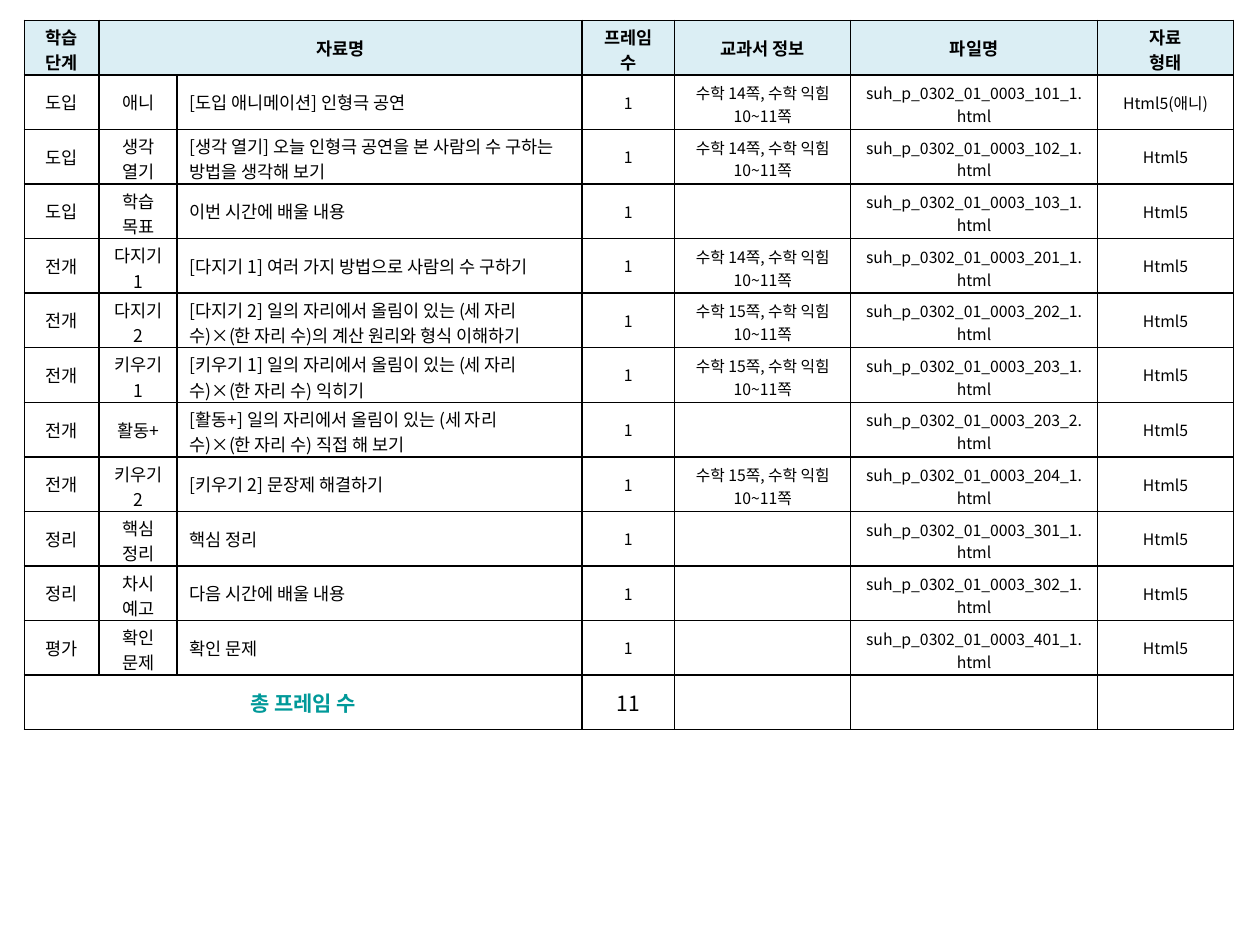
from dataclasses import dataclass

from lxml.etree import SubElement
from pptx import Presentation
from pptx.dml.color import RGBColor
from pptx.enum.text import MSO_ANCHOR, PP_ALIGN
from pptx.oxml.ns import qn
from pptx.util import Cm, Pt


@dataclass(frozen=True)
class Theme:
    font: str = "Noto Sans CJK KR"
    ink: str = "000000"
    accent: str = "009999"
    header_fill: str = "DBEEF4"
    white: str = "FFFFFF"
    text_size: float = 10
    detail_size: float = 9
    total_size: float = 12
    border: float = 1


THEME = Theme()

# Column widths and the common row height, in centimetres
COLUMN_WIDTHS = [1.51, 1.57, 8.16, 1.87, 3.55, 4.97, 2.75]
ROW_HEIGHT = 1.1
TITLE_COLUMN, FRAME_COLUMN = 2, 3
TITLE_RIGHT_INSET = 0.4
# Letters that fit on one line of each column
LINE_LENGTHS = [3, 3, 32, 4, 10, 20, 10]

HEADERS = ["학습 단계", "자료명", "", "프레임 수", "교과서 정보", "파일명", "자료\n형태"]

# Stage, part, title, textbook page, file number
LESSONS = [
    ("도입", "애니", "[도입 애니메이션] 인형극 공연", 14, "101_1"),
    ("도입", "생각 열기", "[생각 열기] 오늘 인형극 공연을 본 사람의 수 구하는 방법을 생각해 보기", 14, "102_1"),
    ("도입", "학습 목표", "이번 시간에 배울 내용", None, "103_1"),
    ("전개", "다지기 1", "[다지기 1] 여러 가지 방법으로 사람의 수 구하기", 14, "201_1"),
    ("전개", "다지기 2",
     "[다지기 2] 일의 자리에서 올림이 있는 (세 자리 수)×(한 자리 수)의 계산 원리와 형식 이해하기", 15, "202_1"),
    ("전개", "키우기1", "[키우기 1] 일의 자리에서 올림이 있는 (세 자리 수)×(한 자리 수) 익히기", 15, "203_1"),
    ("전개", "활동+", "[활동+] 일의 자리에서 올림이 있는 (세 자리 수)×(한 자리 수) 직접 해 보기", None, "203_2"),
    ("전개", "키우기2", "[키우기 2] 문장제 해결하기", 15, "204_1"),
    ("정리", "핵심 정리", "핵심 정리", None, "301_1"),
    ("정리", "차시 예고", "다음 시간에 배울 내용", None, "302_1"),
    ("평가", "확인 문제", "확인 문제", None, "401_1"),
]


def lesson_cells(stage, part, title, textbook_page, file_number):
    textbook = f"수학 {textbook_page}쪽, 수학 익힘 10~11쪽" if textbook_page else ""
    file_name = f"suh_p_0302_01_0003_{file_number}.html"
    file_type = "Html5(애니)" if part == "애니" else "Html5"
    return [stage, part, title, "1", textbook, file_name, file_type]


def draw_borders(cell):
    properties = cell._tc.get_or_add_tcPr()
    for position, side in enumerate(("a:lnL", "a:lnR", "a:lnT", "a:lnB")):
        line = SubElement(properties, qn(side), w=str(Pt(THEME.border)))
        fill = SubElement(line, qn("a:solidFill"))
        SubElement(fill, qn("a:srgbClr"), val=THEME.ink)
        # Borders come before the cell fill
        properties.insert(position, line)


def tighten_long_text(cell, text, column):
    """Trim the insets of two-line cells so that the row keeps its height."""
    if "\n" in text or len(text) > LINE_LENGTHS[column]:
        cell.margin_top, cell.margin_bottom = Cm(0.08), Cm(0)


def style_cell(cell, text, size, color=THEME.ink, bold=False, fill=None, align=PP_ALIGN.CENTER):
    cell.text = text
    cell.vertical_anchor = MSO_ANCHOR.MIDDLE
    if fill:
        cell.fill.solid()
        cell.fill.fore_color.rgb = RGBColor.from_string(fill)
    else:
        cell.fill.background()
    draw_borders(cell)
    for para in cell.text_frame.paragraphs:
        para.alignment = align
        font = para.font
        font.name, font.size, font.bold = THEME.font, Pt(size), bold
        font.color.rgb = RGBColor.from_string(color)
        # Korean letters take the East Asian typeface
        SubElement(para._p.pPr.find(qn("a:defRPr")), qn("a:ea"), typeface=THEME.font)


def add_header_row(table):
    for column, text in enumerate(HEADERS):
        cell = table.cell(0, column)
        style_cell(cell, text, THEME.text_size, bold=True, fill=THEME.header_fill)
        tighten_long_text(cell, text, column)
    table.cell(0, 1).merge(table.cell(0, TITLE_COLUMN))


def add_lesson_rows(table):
    for row, lesson in enumerate(LESSONS, start=1):
        fill = THEME.white if row == len(LESSONS) else None
        for column, text in enumerate(lesson_cells(*lesson)):
            cell = table.cell(row, column)
            size = THEME.detail_size if column >= FRAME_COLUMN else THEME.text_size
            align = PP_ALIGN.LEFT if column == TITLE_COLUMN else PP_ALIGN.CENTER
            style_cell(cell, text, size, fill=fill, align=align)
            tighten_long_text(cell, text, column)
        table.cell(row, TITLE_COLUMN).margin_right = Cm(TITLE_RIGHT_INSET)


def add_total_row(table):
    row = len(LESSONS) + 1
    texts = {0: "총 프레임 수", FRAME_COLUMN: str(len(LESSONS))}
    for column in range(len(COLUMN_WIDTHS)):
        is_label = column == 0
        style_cell(table.cell(row, column), texts.get(column, ""), THEME.total_size,
                   color=THEME.accent if is_label else THEME.ink, bold=is_label, fill=THEME.white)
    table.cell(row, 0).merge(table.cell(row, TITLE_COLUMN))


def add_lesson_table(page, left, top):
    row_count = len(LESSONS) + 2
    frame = page.shapes.add_table(row_count, len(COLUMN_WIDTHS), left, top,
                                  Cm(sum(COLUMN_WIDTHS)), Cm(ROW_HEIGHT * row_count))
    table = frame.table
    table.first_row = table.horz_banding = False
    for column, width in zip(table.columns, COLUMN_WIDTHS):
        column.width = Cm(width)
    for row in table.rows:
        row.height = Cm(ROW_HEIGHT)
    add_header_row(table)
    add_lesson_rows(table)
    add_total_row(table)


def main():
    deck = Presentation()
    deck.slide_width, deck.slide_height = Cm(25.4), Cm(19.05)
    page = deck.slides.add_slide(deck.slide_layouts[6])
    add_lesson_table(page, Cm(0.49), Cm(0.41))
    deck.save("out.pptx")


if __name__ == "__main__":
    main()
